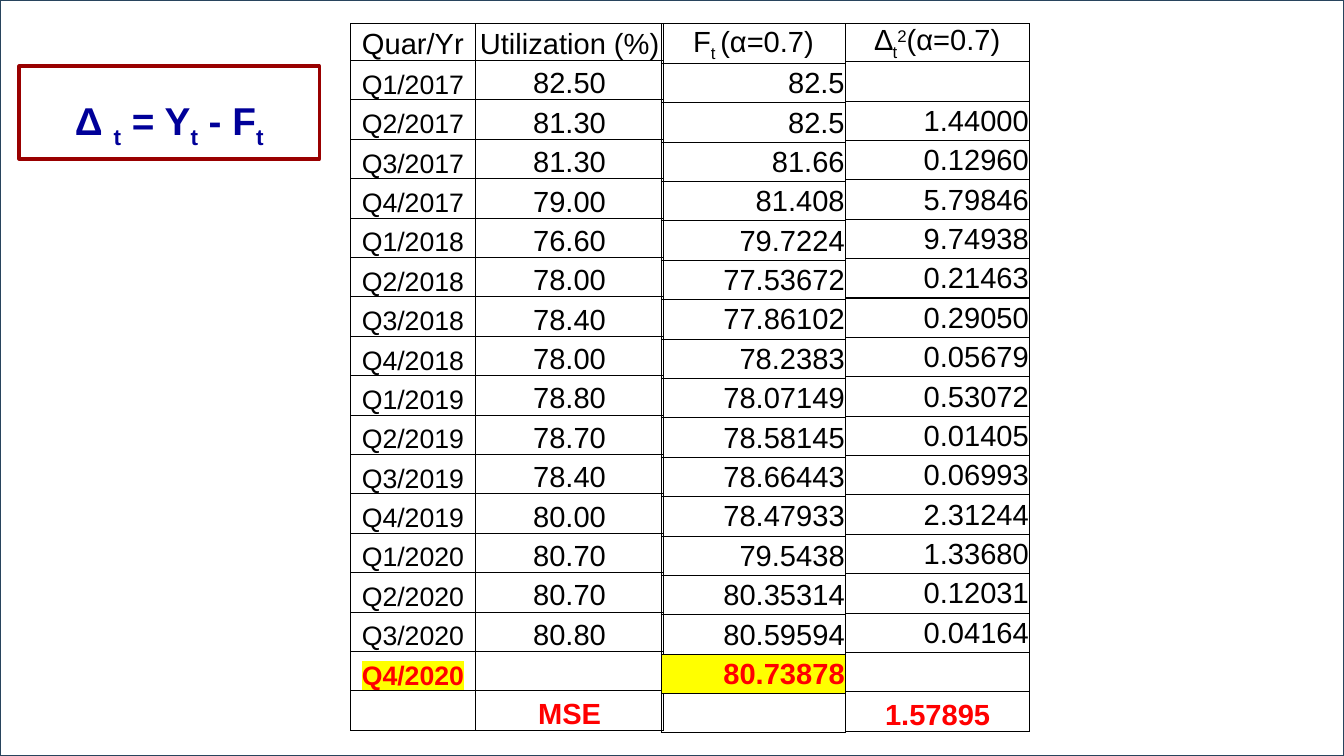
"""Build the exponential smoothing slide with its forecast errors."""
from dataclasses import dataclass, field
from typing import Optional

from lxml import etree
from pptx import Presentation
from pptx.dml.color import RGBColor
from pptx.enum import shapes, text
from pptx.oxml import ns
from pptx.util import Pt

ALIGN, ANCHOR = text.PP_ALIGN, text.MSO_ANCHOR


@dataclass(frozen=True)
class Theme:
    font: str = "Arial"
    white: str = "FFFFFF"
    black: str = "000000"
    frame: str = "28445D"
    formula: str = "000099"
    formula_line: str = "990000"
    result: str = "FF0000"
    mark: str = "FFFF00"
    quarter_size: float = 22
    value_size: float = 24
    formula_size: float = 32


THEME = Theme()


@dataclass(frozen=True)
class Run:
    text: str
    baseline: int = 0


@dataclass(frozen=True)
class Style:
    align: ALIGN = ALIGN.CENTER
    anchor: ANCHOR = ANCHOR.BOTTOM
    size: float = THEME.value_size
    leading: Optional[float] = 1.07
    after: float = 8
    inset: float = 0.72
    color: str = THEME.black
    bold: bool = False
    mark: Optional[str] = None
    fill: Optional[str] = None


@dataclass(frozen=True)
class Cell:
    runs: list[Run] = field(default_factory=list)
    style: Style = Style()


@dataclass(frozen=True)
class Grid:
    left: float
    widths: list[float]
    columns: list[list[Cell]]


GRID_TOP, HEADER_HEIGHT, ROW_HEIGHT = 19.5, 30.5, 32.5

HEADER = Style(inset=0)
DELTA_HEADER = Style(anchor=ANCHOR.MIDDLE, leading=None, after=0)
QUARTER = Style(size=THEME.quarter_size, leading=None, after=0, inset=0)
NEXT_QUARTER = Style(size=THEME.quarter_size, inset=0, color=THEME.result,
                     bold=True, mark=THEME.mark)
VALUE = Style()
NUMBER = Style(ALIGN.RIGHT, ANCHOR.MIDDLE, leading=None, after=0)
FORECAST = Style(ALIGN.RIGHT, ANCHOR.MIDDLE, leading=None, after=0,
                 color=THEME.result, bold=True, fill=THEME.mark)
RESULT = Style(color=THEME.result, bold=True)
FORMULA = Style(size=THEME.formula_size, leading=0.9, after=0,
                color=THEME.formula, bold=True)

UTILIZATION = ("82.50 81.30 81.30 79.00 76.60 78.00 78.40 78.00 78.80 78.70 "
               "78.40 80.00 80.70 80.70 80.80").split()
FORECASTS = ("82.5 82.5 81.66 81.408 79.7224 77.53672 77.86102 78.2383 "
             "78.07149 78.58145 78.66443 78.47933 79.5438 80.35314 "
             "80.59594").split()
SQUARED_ERRORS = ("1.44000 0.12960 5.79846 9.74938 0.21463 0.29050 0.05679 "
                  "0.53072 0.01405 0.06993 2.31244 1.33680 0.12031 "
                  "0.04164").split()


def cell(value: str, style: Style) -> Cell:
    return Cell([Run(value)], style)


def cells(values: list[str], style: Style) -> list[Cell]:
    return [cell(value, style) for value in values]


def add_runs(p, runs: list[Run], style: Style) -> None:
    p.alignment = style.align
    p.line_spacing = style.leading
    p.space_after = Pt(style.after)
    for run in runs:
        r = p.add_run()
        r.text = run.text
        r.font.name = THEME.font
        r.font.size = Pt(style.size)
        r.font.bold = style.bold
        r.font.color.rgb = RGBColor.from_string(style.color)
        rpr = r.font._element
        if run.baseline:
            rpr.set("baseline", str(run.baseline * 1000))
        if style.mark:
            highlight = etree.Element(ns.qn("a:highlight"))
            etree.SubElement(highlight, ns.qn("a:srgbClr"), val=style.mark)
            rpr.find(ns.qn("a:solidFill")).addnext(highlight)


def add_borders(tc) -> None:
    tcpr = tc._tc.get_or_add_tcPr()
    for i, side in enumerate("LRTB"):
        line = etree.Element(ns.qn(f"a:ln{side}"), w=str(Pt(1)))
        fill = etree.SubElement(line, ns.qn("a:solidFill"))
        etree.SubElement(fill, ns.qn("a:srgbClr"), val=THEME.black)
        tcpr.insert(i, line)


def fill_cell(tc, content: Cell) -> None:
    style = content.style
    tc.margin_left = tc.margin_right = tc.margin_top = Pt(style.inset)
    tc.margin_bottom = Pt(0)
    tc.vertical_anchor = style.anchor
    if style.fill:
        tc.fill.solid()
        tc.fill.fore_color.rgb = RGBColor.from_string(style.fill)
    else:
        tc.fill.background()
    add_borders(tc)
    add_runs(tc.text_frame.paragraphs[0], content.runs, style)


def add_grid(s, grid: Grid) -> None:
    rows = len(grid.columns[0])
    height = HEADER_HEIGHT + (rows - 1) * ROW_HEIGHT
    table = s.shapes.add_table(rows, len(grid.columns), Pt(grid.left), Pt(GRID_TOP),
                               Pt(sum(grid.widths)), Pt(height)).table
    table.first_row = table.horz_banding = False
    for i, row in enumerate(table.rows):
        row.height = Pt(ROW_HEIGHT if i else HEADER_HEIGHT)
    for j, (width, column) in enumerate(zip(grid.widths, grid.columns)):
        table.columns[j].width = Pt(width)
        for i, content in enumerate(column):
            fill_cell(table.cell(i, j), content)


def add_box(s, left: float, top: float, width: float, height: float,
            line: str, weight: float):
    sp = s.shapes.add_shape(shapes.MSO_SHAPE.RECTANGLE,
                            Pt(left), Pt(top), Pt(width), Pt(height))
    sp.shadow.inherit = False
    sp.fill.solid()
    sp.fill.fore_color.rgb = RGBColor.from_string(THEME.white)
    sp.line.color.rgb = RGBColor.from_string(line)
    sp.line.width = Pt(weight)
    return sp


def add_formula(s) -> None:
    tf = add_box(s, 15.84, 54.72, 247.68, 76.32, THEME.formula_line, 3).text_frame
    tf.word_wrap = False
    tf.vertical_anchor = ANCHOR.MIDDLE
    tf.margin_top = Pt(18)
    sub = Run("t", -25)
    add_runs(tf.paragraphs[0],
             [Run("Δ "), sub, Run(" = Y"), sub, Run(" - F"), sub], FORMULA)


def main() -> None:
    prs = Presentation()
    prs.slide_width, prs.slide_height = Pt(1108.8), Pt(623.52)
    s = prs.slides.add_slide(prs.slide_layouts[6])
    add_box(s, 0, 0, 1108.8, 623.52, THEME.frame, 1)

    quarters = [f"Q{i % 4 + 1}/{2017 + i // 4}" for i in range(len(UTILIZATION))]
    alpha = Run("(α=0.7)")
    quarter_column = [cell("Quar/Yr", HEADER), *cells(quarters, QUARTER),
                      cell("Q4/2020", NEXT_QUARTER), Cell()]
    utilization_column = [cell("Utilization (%)", HEADER), *cells(UTILIZATION, VALUE),
                          Cell(), cell("MSE", RESULT)]
    forecast_column = [Cell([Run("F"), Run("t ", -25), alpha], HEADER),
                       *cells(FORECASTS, NUMBER), cell("80.73878", FORECAST), Cell()]
    error_column = [Cell([Run("∆"), Run("t", -25), Run("2", 30), alpha], DELTA_HEADER),
                    Cell(), *cells(SQUARED_ERRORS, NUMBER),
                    Cell(), cell("1.57895", RESULT)]
    for grid in (Grid(289.2, [102.9, 155.6], [quarter_column, utilization_column]),
                 Grid(545.7, [151.9], [forecast_column]),
                 Grid(697.6, [151.9], [error_column])):
        add_grid(s, grid)
    add_formula(s)
    prs.save("out.pptx")


if __name__ == "__main__":
    main()
